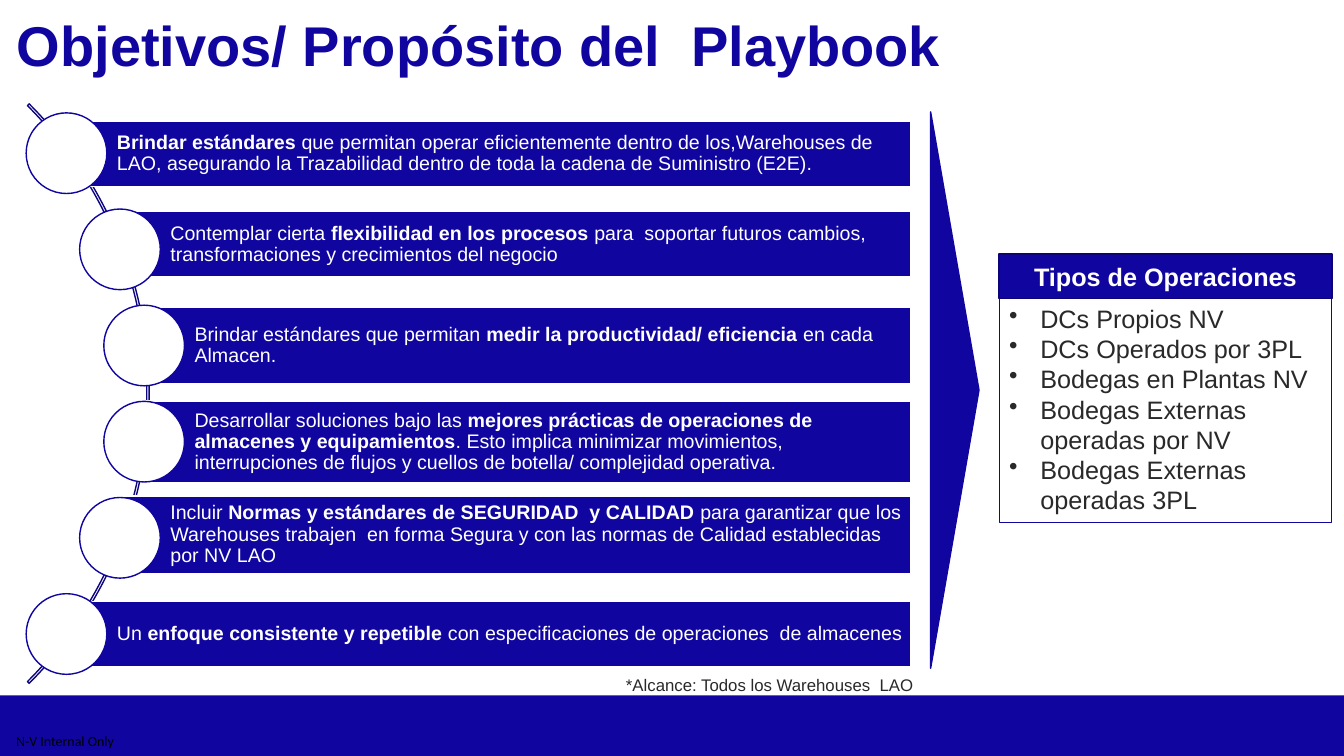
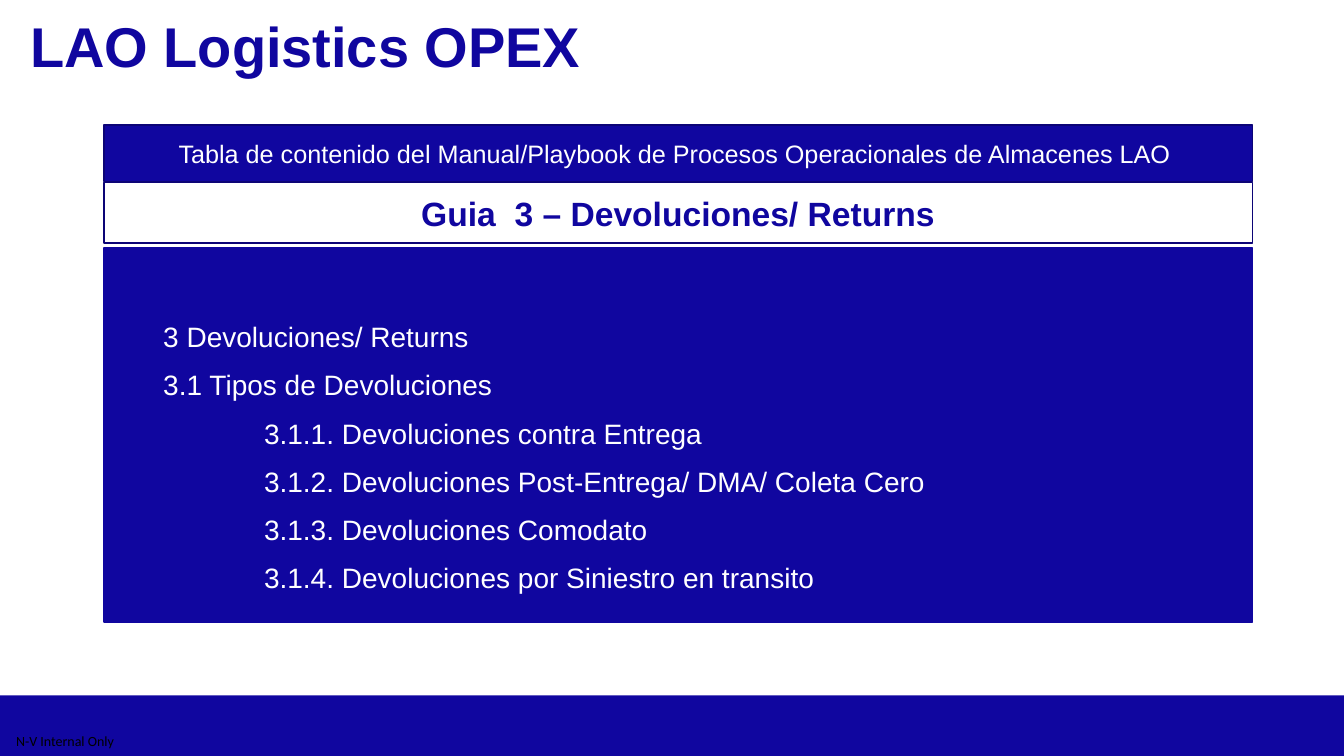
"""Build two slides on the goals and the contents of a warehouse playbook."""
from dataclasses import dataclass
from typing import Optional

import lxml.etree
import pptx
import pptx.dml.color
import pptx.enum.shapes
import pptx.enum.text
import pptx.oxml.ns
import pptx.presentation
import pptx.shapes.autoshape
import pptx.slide
import pptx.util

Inches = pptx.util.Inches
Pt = pptx.util.Pt
Preset = pptx.enum.shapes.MSO_SHAPE
Align = pptx.enum.text.PP_ALIGN
Anchor = pptx.enum.text.MSO_ANCHOR

COLORS = {
    "blue": "10069F",
    "edge": "0C0476",
    "arc": "0D057F",
    "white": "FFFFFF",
    "text": "292929",
    "black": "000000",
}
SLIDE_WIDTH, SLIDE_HEIGHT = 13.33, 7.5
BAR_RIGHT = 9.03
CIRCLE_SIZE = 0.8
CIRCLE_TOP, CIRCLE_STEP = 1.12, 0.954
DEFAULT_INSETS = (0.1, 0.05, 0.1, 0.05)


@dataclass(frozen=True)
class Box:
    left: float
    top: float
    width: float
    height: float


@dataclass(frozen=True)
class Run:
    text: str
    bold: bool = False


@dataclass(frozen=True)
class Style:
    size: float
    color: str
    font: str = "Arial"
    align: Align = Align.LEFT
    line_spacing: Optional[float] = None
    space_after: float = 0


@dataclass(frozen=True)
class Line:
    runs: tuple[Run, ...]
    indent: float = 0
    bullet: bool = False


@dataclass(frozen=True)
class Objective:
    circle_left: float
    bar_top: float
    bar_height: float
    runs: tuple[Run, ...]


TITLE = Style(40, "blue", line_spacing=0.9)
FOOTER = Style(10, "black", "Calibri")
OBJECTIVE = Style(14, "white", line_spacing=0.9)
NOTE = Style(12, "text")
OPERATION = Style(18, "text")
HEADER = Style(18, "white", align=Align.CENTER)
GUIDE = Style(24, "blue", align=Align.CENTER)
CONTENT = Style(20, "white", line_spacing=1.1, space_after=8)

OBJECTIVES = (
    Objective(0.26, 1.2, 0.65, (
        Run("Brindar estándares ", True),
        Run("que permitan operar eficientemente dentro de los,Warehouses de LAO, "
            "asegurando la Trazabilidad dentro de toda la cadena de Suministro (E2E)."))),
    Objective(0.79, 2.1, 0.65, (
        Run("Contemplar cierta "),
        Run("flexibilidad en los procesos ", True),
        Run("para  soportar futuros cambios, transformaciones y crecimientos del negocio"))),
    Objective(1.03, 3.05, 0.76, (
        Run("Brindar estándares que permitan "),
        Run("medir la productividad/ eficiencia ", True),
        Run("en cada Almacen."))),
    Objective(1.03, 3.98, 0.81, (
        Run("Desarrollar soluciones bajo las "),
        Run("mejores prácticas de operaciones de almacenes y equipamientos", True),
        Run(". Esto implica minimizar movimientos, interrupciones de flujos y "
            "cuellos de botella/ complejidad operativa."))),
    Objective(0.79, 4.92, 0.77, (
        Run("Incluir "),
        Run("Normas y estándares de SEGURIDAD  y CALIDAD ", True),
        Run("para garantizar que los Warehouses trabajen  en forma Segura y con las "
            "normas de Calidad establecidas por NV LAO"))),
    Objective(0.26, 5.97, 0.64, (
        Run("Un "),
        Run("enfoque consistente y repetible ", True),
        Run("con especificaciones de operaciones  de almacenes"))),
)
OPERATIONS = (
    "DCs Propios NV",
    "DCs Operados por 3PL",
    "Bodegas en Plantas NV",
    "Bodegas Externas operadas por NV",
    "Bodegas Externas operadas 3PL",
)
CONTENTS = (
    ("3 Devoluciones/ Returns", 0),
    ("3.1 Tipos de Devoluciones", 0),
    ("3.1.1. Devoluciones contra Entrega", 1),
    ("3.1.2. Devoluciones Post-Entrega/ DMA/ Coleta Cero", 1),
    ("3.1.3. Devoluciones Comodato", 1),
    ("3.1.4. Devoluciones por Siniestro en transito", 1),
)


def rgb(name: str) -> pptx.dml.color.RGBColor:
    return pptx.dml.color.RGBColor.from_string(COLORS[name])


def place(box: Box) -> tuple[pptx.util.Length, ...]:
    return tuple(Inches(value) for value in (box.left, box.top, box.width, box.height))


def single(text: str, bold: bool = False) -> tuple[Line, ...]:
    return (Line((Run(text, bold),)),)


def write(shape: pptx.shapes.autoshape.Shape, lines: tuple[Line, ...], style: Style,
          anchor: Anchor = Anchor.TOP, insets: tuple[float, ...] = DEFAULT_INSETS,
          wrap: bool = True) -> None:
    frame = shape.text_frame
    frame.word_wrap = wrap
    frame.vertical_anchor = anchor
    (frame.margin_left, frame.margin_top,
     frame.margin_right, frame.margin_bottom) = (Inches(inset) for inset in insets)
    for index, line in enumerate(lines):
        paragraph = frame.add_paragraph() if index else frame.paragraphs[0]
        properties = paragraph._p.get_or_add_pPr()
        if line.indent:
            properties.set("marL", str(Inches(line.indent)))
        if line.bullet:
            properties.set("indent", str(-Inches(line.indent)))
            bullet = lxml.etree.SubElement(properties, pptx.oxml.ns.qn("a:buChar"))
            bullet.set("char", "•")
        paragraph.alignment = style.align
        if style.line_spacing:
            paragraph.line_spacing = style.line_spacing
        if style.space_after:
            paragraph.space_after = Pt(style.space_after)
        for part in line.runs:
            run = paragraph.add_run()
            run.text = part.text
            run.font.name = style.font
            run.font.size = Pt(style.size)
            run.font.bold = part.bold
            run.font.color.rgb = rgb(style.color)


def add_shape(slide: pptx.slide.Slide, preset: Preset, box: Box, fill: Optional[str] = None,
              line: Optional[str] = None,
              line_width: float = 1) -> pptx.shapes.autoshape.Shape:
    shape = slide.shapes.add_shape(preset, *place(box))
    shape.shadow.inherit = False
    if fill:
        shape.fill.solid()
        shape.fill.fore_color.rgb = rgb(fill)
    else:
        shape.fill.background()
    if line:
        shape.line.color.rgb = rgb(line)
        shape.line.width = Pt(line_width)
    else:
        shape.line.fill.background()
    return shape


def add_text(slide: pptx.slide.Slide, box: Box, lines: tuple[Line, ...], style: Style,
             **options) -> None:
    write(slide.shapes.add_textbox(*place(box)), lines, style, **options)


def add_panel(slide: pptx.slide.Slide, box: Box, text: str, style: Style,
              fill: str = "blue", bold: bool = False) -> None:
    panel = add_shape(slide, Preset.RECTANGLE, box, fill, "edge")
    write(panel, single(text, bold), style, anchor=Anchor.MIDDLE)


def add_base_slide(presentation: pptx.presentation.Presentation, title: str,
                   title_box: Box) -> pptx.slide.Slide:
    slide = presentation.slides.add_slide(presentation.slide_layouts[6])
    add_shape(slide, Preset.RECTANGLE, Box(0, 6.9, SLIDE_WIDTH, 0.6), "blue")
    add_text(slide, Box(0, 7.21, 1.27, 0.29), single("N-V Internal Only"), FOOTER,
             anchor=Anchor.MIDDLE, insets=(0.16, 0, 0, 0), wrap=False)
    add_text(slide, title_box, single(title, True), TITLE)
    return slide


def add_objective(slide: pptx.slide.Slide, index: int, objective: Objective) -> None:
    bar_left = objective.circle_left + CIRCLE_SIZE / 2
    bar_box = Box(bar_left, objective.bar_top, BAR_RIGHT - bar_left, objective.bar_height)
    bar = add_shape(slide, Preset.RECTANGLE, bar_box, "blue", "white")
    write(bar, (Line(objective.runs),), OBJECTIVE, anchor=Anchor.MIDDLE,
          insets=(0.5, 0.04, 0.04, 0.04))
    circle_top = CIRCLE_TOP + index * CIRCLE_STEP
    circle_box = Box(objective.circle_left, circle_top, CIRCLE_SIZE, CIRCLE_SIZE)
    add_shape(slide, Preset.OVAL, circle_box, "white", "blue")


def build_objectives(presentation: pptx.presentation.Presentation) -> None:
    slide = add_base_slide(presentation, "Objetivos/ Propósito del  Playbook",
                           Box(0.07, 0.13, 10.2, 0.74))
    arc = add_shape(slide, Preset.BLOCK_ARC, Box(-6.65, -0.16, 8.13, 8.13), line="arc")
    for index, value in enumerate((189, 27, 0.003)):
        arc.adjustments[index] = value
    for index, objective in enumerate(OBJECTIVES):
        add_objective(slide, index, objective)
    pointer = add_shape(slide, Preset.ISOSCELES_TRIANGLE, Box(6.71, 3.63, 5.52, 0.48),
                        "blue", "blue")
    pointer.rotation = 90
    operations = add_shape(slide, Preset.RECTANGLE, Box(9.91, 2.96, 3.3, 2.22),
                           line="blue", line_width=0.75)
    write(operations, tuple(Line((Run(text),), 0.31, True) for text in OPERATIONS), OPERATION)
    add_panel(slide, Box(9.91, 2.52, 3.3, 0.44), "Tipos de Operaciones", HEADER, bold=True)
    add_text(slide, Box(6.11, 6.64, 3.08, 0.3),
             single("*Alcance: Todos los Warehouses  LAO"), NOTE, wrap=False)


def build_contents(presentation: pptx.presentation.Presentation) -> None:
    slide = add_base_slide(presentation, "LAO Logistics OPEX", Box(0.2, 0.14, 12.95, 1.15))
    left, width = 1.03, 11.39
    add_panel(slide, Box(left, 1.24, width, 0.56),
              "Tabla de contenido del Manual/Playbook de Procesos Operacionales de Almacenes LAO ",
              HEADER)
    add_shape(slide, Preset.RECTANGLE, Box(left, 2.46, width, 3.71), "blue", "blue")
    add_text(slide, Box(1.52, 3.09, 10.41, 3.18),
             tuple(Line((Run(text),), level) for text, level in CONTENTS), CONTENT)
    add_panel(slide, Box(left, 1.81, width, 0.6), "Guia  3 – Devoluciones/ Returns",
              GUIDE, "white", True)


def main() -> None:
    presentation = pptx.Presentation()
    presentation.slide_width = Inches(SLIDE_WIDTH)
    presentation.slide_height = Inches(SLIDE_HEIGHT)
    build_objectives(presentation)
    build_contents(presentation)
    presentation.save("out.pptx")


if __name__ == "__main__":
    main()
